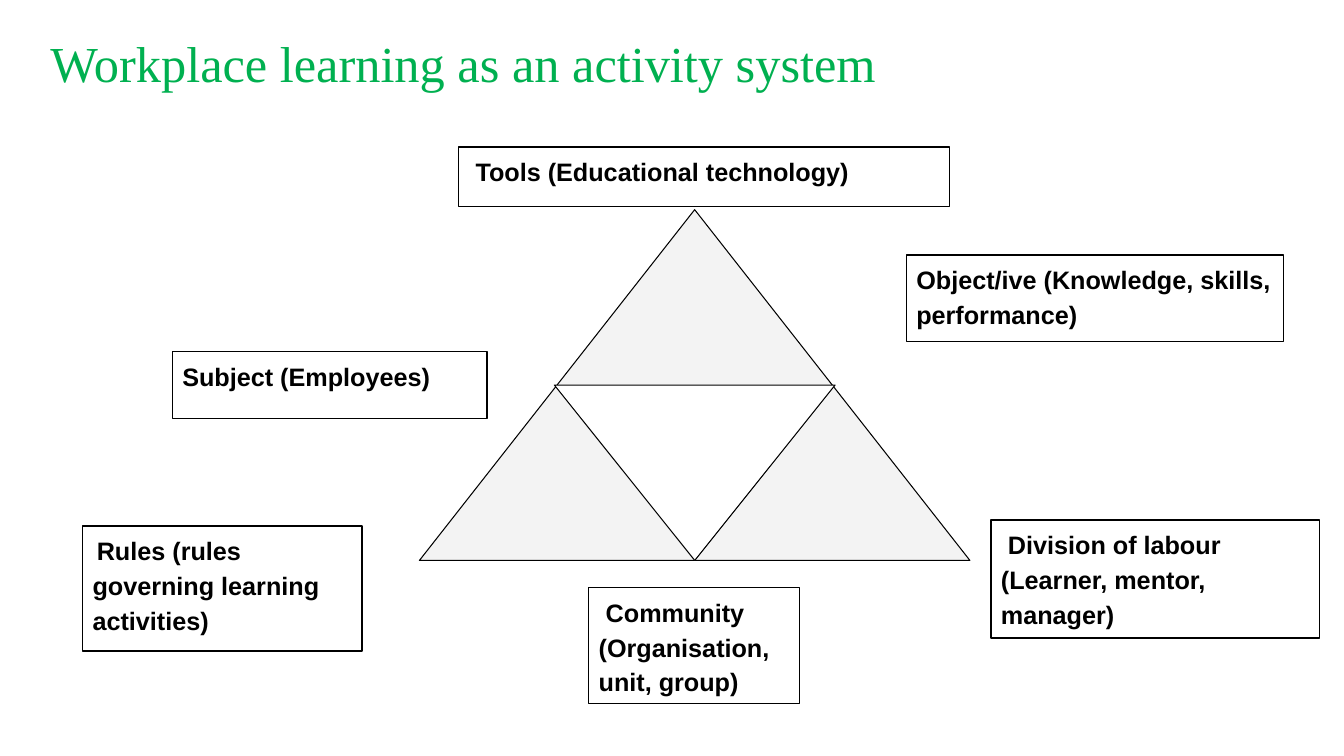
from dataclasses import dataclass

from pptx import Presentation
from pptx.dml.color import RGBColor
from pptx.enum.shapes import MSO_SHAPE
from pptx.enum.text import MSO_ANCHOR, MSO_AUTO_SIZE, PP_ALIGN
from pptx.util import Inches, Pt


@dataclass(frozen=True)
class Theme:
    title_font: str = "Times New Roman"
    body_font: str = "Arial"
    green: str = "00B050"
    black: str = "000000"
    white: str = "FFFFFF"
    grey: str = "F3F3F3"
    title_size: int = 36
    body_size: int = 18
    indent_size: int = 11


theme = Theme()
presentation = Presentation()
presentation.slide_width, presentation.slide_height = Inches(13.33), Inches(7.5)
slide = presentation.slides.add_slide(presentation.slide_layouts[5])


def write(paragraph, text, font=theme.body_font, size=theme.body_size,
          color=theme.black, bold=False, spacing=1.15):
    """Add a formatted, left-aligned run to a paragraph."""
    paragraph.alignment = PP_ALIGN.LEFT
    paragraph.line_spacing = spacing
    run = paragraph.add_run()
    run.text = text
    run.font.name, run.font.size, run.font.bold = font, Pt(size), bold
    run.font.color.rgb = RGBColor.from_string(color)


def add_outlined(shapes, preset, area, fill, line_width):
    """Add a black-outlined shape; area is in percent of the slide's size."""
    left, top, width, height = area
    across, down = presentation.slide_width / 100, presentation.slide_height / 100
    shape = shapes.add_shape(preset, round(left * across), round(top * down),
                             round(width * across), round(height * down))
    shape.shadow.inherit = False
    shape.fill.solid()
    shape.fill.fore_color.rgb = RGBColor.from_string(fill)
    shape.line.color.rgb = RGBColor.from_string(theme.black)
    shape.line.width = Pt(line_width)
    return shape


# Title
title = slide.shapes.title
title.left, title.width = (round(presentation.slide_width * share) for share in (0.03, 0.86))
title.top, title.height = (round(presentation.slide_height * share) for share in (0.01, 0.12))
title.text_frame.word_wrap = True
title.text_frame.auto_size = MSO_AUTO_SIZE.NONE
title.text_frame.vertical_anchor = MSO_ANCHOR.BOTTOM
write(title.text_frame.paragraphs[0], "Workplace learning as an activity system",
      font=theme.title_font, size=theme.title_size, color=theme.green, spacing=0.9)

# Activity triangle, with an inverted one centred in its lower half
left, top, width, height = 31.21, 27.73, 40.96, 46.4
inner_width = width * 0.51
inner_area = (left + (width - inner_width) / 2, top + height / 2, inner_width, height / 2)
triangles = slide.shapes.add_group_shape().shapes
add_outlined(triangles, MSO_SHAPE.ISOSCELES_TRIANGLE, (left, top, width, height), theme.grey, 0.75)
inner_triangle = add_outlined(triangles, MSO_SHAPE.ISOSCELES_TRIANGLE, inner_area, theme.white, 0.75)
inner_triangle.rotation = 180

# Labels: area, size and weight of the leading non-breaking space (if any), text
labels = [
    ((34.13, 19.47, 36.53, 7.87), (theme.body_size, False), "Tools (Educational technology)"),
    ((12.83, 46.53, 23.41, 8.8), None, "Subject (Employees)"),
    ((73.74, 68.8, 24.46, 15.6), (theme.body_size, False),
     "Division of labour (Learner, mentor, manager)"),
    ((43.81, 77.73, 15.68, 15.33), (theme.body_size, True),
     "Community (Organisation, unit, group)"),
    ((6.15, 69.6, 20.78, 16.53), (theme.indent_size, False),
     "Rules (rules governing learning activities)"),
    ((67.44, 33.73, 28.06, 11.47), None, "Object/ive\u00a0(Knowledge, skills, performance)"),
]
for area, lead, text in labels:
    label = add_outlined(slide.shapes, MSO_SHAPE.RECTANGLE, area, theme.white, 1)
    label.text_frame.word_wrap = True
    label.text_frame.vertical_anchor = MSO_ANCHOR.TOP
    paragraph = label.text_frame.paragraphs[0]
    if lead:
        lead_size, lead_bold = lead
        write(paragraph, "\u00a0", size=lead_size, bold=lead_bold)
    write(paragraph, text, bold=True)

presentation.save("out.pptx")
